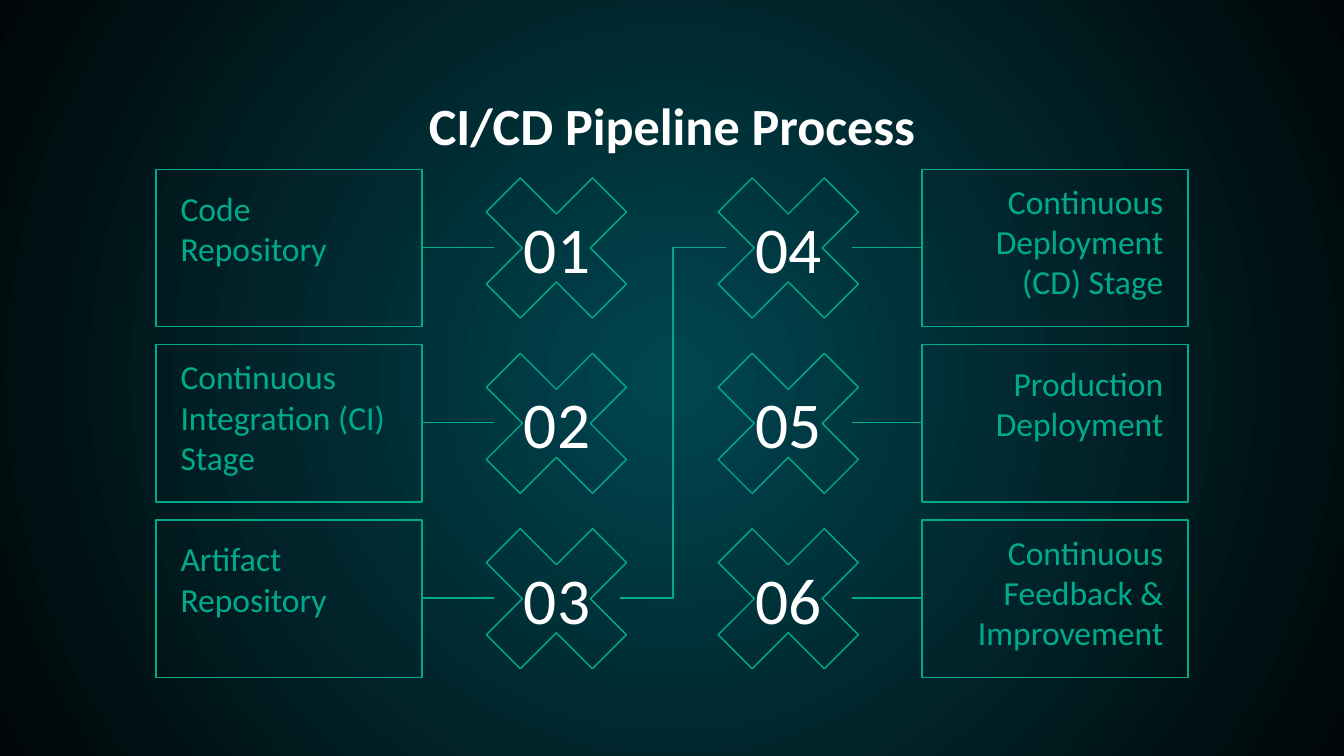
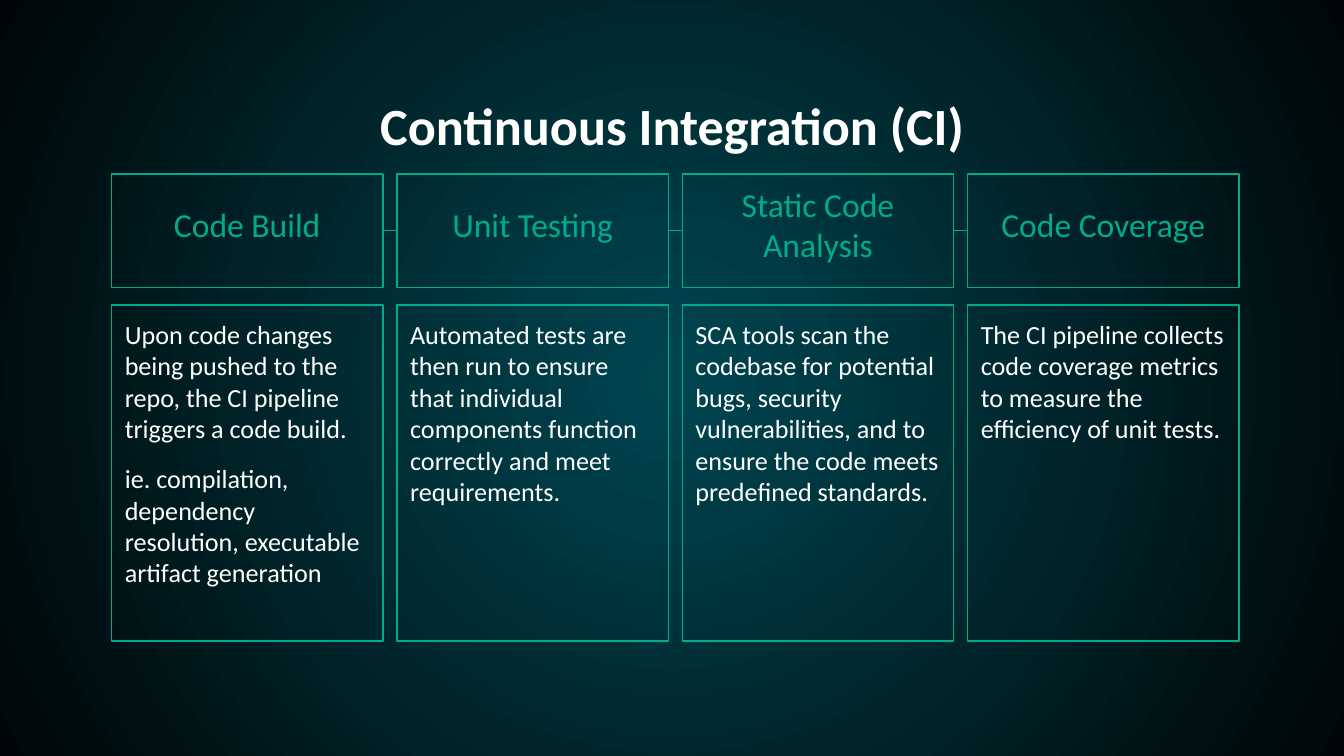
"""Build two slides on a CI/CD pipeline."""
from dataclasses import dataclass

from lxml import etree
from pptx import Presentation
from pptx.dml.color import RGBColor
from pptx.enum.shapes import MSO_CONNECTOR, MSO_SHAPE
from pptx.enum.text import MSO_ANCHOR, MSO_AUTO_SIZE, PP_ALIGN
from pptx.oxml.ns import qn
from pptx.presentation import Presentation as Deck
from pptx.shapes.autoshape import Shape
from pptx.shapes.shapetree import GroupShapes, SlideShapes
from pptx.slide import Slide
from pptx.text.text import TextFrame
from pptx.util import Emu, Inches, Pt

LEFT, CENTER, RIGHT = PP_ALIGN.LEFT, PP_ALIGN.CENTER, PP_ALIGN.RIGHT
TOP, MIDDLE, BOTTOM = MSO_ANCHOR.TOP, MSO_ANCHOR.MIDDLE, MSO_ANCHOR.BOTTOM
STRAIGHT, ELBOW = MSO_CONNECTOR.STRAIGHT, MSO_CONNECTOR.ELBOW
CARD, CROSS = MSO_SHAPE.ROUNDED_RECTANGLE, MSO_SHAPE.MATH_MULTIPLY
NO_AUTOFIT = MSO_AUTO_SIZE.NONE

GLOW = RGBColor(0x00, 0x46, 0x51)
DARK = RGBColor(0x00, 0x06, 0x07)
GREEN = RGBColor(0x00, 0xAB, 0x8D)
WHITE = RGBColor(0xFF, 0xFF, 0xFF)
FONT = "Calibri"
OUTLINE = Pt(0.75)

SLIDE_WIDTH = Inches(10)
SLIDE_HEIGHT = Emu(SLIDE_WIDTH * 9 // 16)
GRID_COLUMNS = 100
CELL = SLIDE_WIDTH / GRID_COLUMNS
INSET = 1

STEP_PITCH = 13.05
CARD_TOP, CARD_WIDTH, CARD_HEIGHT = 12.6, 19.8, 11.7
CROSS_TOP, CROSS_SIZE = 10.85, 15.2
NUMBER_TOP, NUMBER_WIDTH, NUMBER_HEIGHT = 15.95, 9.4, 4.9
LABEL_TOP, LABEL_WIDTH = 13.35, 18.1
LABEL_HEIGHTS = {2: 7.6, 3: 10.1}
LINK_ROW = 18.4

STAGE_LEFT, STAGE_PITCH, STAGE_WIDTH = 8.3, 21.23, 20.2
HEADING_TOP, HEADING_HEIGHT = 12.95, 8.45
DETAIL_TOP, DETAIL_HEIGHT = 22.7, 25


@dataclass(frozen=True)
class Box:
    """A place on the grid, in cells."""

    left: float
    top: float
    width: float
    height: float

    def emu(self) -> tuple[Emu, Emu, Emu, Emu]:
        """Return the box in slide units."""
        return cells(self.left), cells(self.top), cells(self.width), cells(self.height)


@dataclass(frozen=True)
class Step:
    """A pipeline step and the lines its label takes."""

    label: str
    lines: int


@dataclass(frozen=True)
class Side:
    """One column of numbered steps."""

    card_left: float
    label_left: float
    cross_left: float
    number_left: float
    link_from: float
    link_to: float
    align: PP_ALIGN
    first_number: int
    steps: tuple[Step, ...]


@dataclass(frozen=True)
class Stage:
    """A stage of continuous integration with its details."""

    heading: str
    details: tuple[str, ...]


SIDES = (
    Side(11.6, 12.45, 33.8, 36.75, 31.4, 36.75, LEFT, 1, (
        Step("Code Repository", 2),
        Step("Continuous Integration (CI) Stage", 3),
        Step("Artifact Repository", 2),
    )),
    Side(68.6, 69.45, 51.05, 54, 63.4, 68.6, RIGHT, 4, (
        Step("Continuous Deployment (CD) Stage", 3),
        Step("Production Deployment", 2),
        Step("Continuous Feedback & Improvement", 3),
    )),
)

STAGES = (
    Stage("Code Build", (
        "Upon code changes being pushed to the repo, the CI pipeline triggers a code build.",
        "ie. compilation, dependency resolution, executable artifact generation",
    )),
    Stage("Unit Testing", (
        "Automated tests are then run to ensure that individual components "
        "function correctly and meet requirements.",
    )),
    Stage("Static Code Analysis", (
        "SCA tools scan the codebase for potential bugs, security vulnerabilities, "
        "and to ensure the code meets predefined standards.",
    )),
    Stage("Code Coverage", (
        "The CI pipeline collects code coverage metrics to measure the efficiency of unit tests.",
    )),
)


def cells(count: float) -> Emu:
    """Convert grid cells to slide units."""
    return Emu(round(count * CELL))


def write_text(frame: TextFrame, *paragraphs: str, size: float, color: RGBColor = WHITE,
               bold: bool = False, align: PP_ALIGN = LEFT, anchor: MSO_ANCHOR = TOP,
               bottom: float = INSET, gap: float = 0) -> None:
    """Fill a text frame with formatted paragraphs."""
    frame.word_wrap = True
    frame.auto_size = NO_AUTOFIT
    frame.vertical_anchor = anchor
    frame.margin_left = frame.margin_right = frame.margin_top = cells(INSET)
    frame.margin_bottom = cells(bottom)
    for index, text in enumerate(paragraphs):
        paragraph = frame.add_paragraph() if index else frame.paragraphs[0]
        paragraph.alignment = align
        paragraph.space_before = Pt(gap)
        run = paragraph.add_run()
        run.text = text
        run.font.name = FONT
        run.font.size = Pt(size)
        run.font.bold = bold
        run.font.color.rgb = color
    frame.paragraphs[-1].space_after = Pt(gap)


def add_outline(shapes: SlideShapes | GroupShapes, kind: MSO_SHAPE, box: Box) -> Shape:
    """Add an unfilled shape with a green outline."""
    outline = shapes.add_shape(kind, *box.emu())
    outline.shadow.inherit = False
    outline.fill.background()
    outline.line.color.rgb = GREEN
    outline.line.width = OUTLINE
    if kind == CARD:
        outline.adjustments[0] = 0
    return outline


def add_link(shapes: SlideShapes, kind: MSO_CONNECTOR, start: tuple[float, float],
             end: tuple[float, float]) -> None:
    """Connect two grid points with a green line."""
    link = shapes.add_connector(kind, *map(cells, start + end))
    link.line.color.rgb = GREEN
    link.line.width = OUTLINE
    etree.SubElement(link.element.spPr, qn("a:effectLst"))


def paint_background(slide: Slide) -> None:
    """Fill the background with a circular glow."""
    fill = slide.background.fill
    fill.gradient()
    for stop, color in zip(fill.gradient_stops, (GLOW, DARK)):
        stop.color.rgb = color
    gradient = slide.element.find(".//" + qn("a:gradFill"))
    circle = etree.Element(qn("a:path"), path="circle")
    etree.SubElement(circle, qn("a:fillToRect"), dict.fromkeys("ltrb", "50000"))
    gradient.replace(gradient.find(qn("a:lin")), circle)


def add_titled_slide(deck: Deck, title: str) -> Slide:
    """Add a slide with the shared background and title style."""
    slide = deck.slides.add_slide(deck.slide_layouts[5])
    paint_background(slide)
    heading = slide.shapes.title
    heading.left, heading.top, heading.width, heading.height = Box(7.8, 5.9, 84.4, 6.2).emu()
    write_text(heading.text_frame, title, size=28, bold=True, align=CENTER)
    return slide


def add_step_text(shapes: SlideShapes, side: Side, row: int, step: Step) -> None:
    """Add the grouped label and number of a step."""
    drop = row * STEP_PITCH
    group = shapes.add_group_shape().shapes
    label_box = Box(side.label_left, LABEL_TOP + drop, LABEL_WIDTH, LABEL_HEIGHTS[step.lines])
    label = group.add_textbox(*label_box.emu())
    write_text(label.text_frame, step.label, size=18, color=GREEN,
               align=side.align, anchor=BOTTOM)
    number_box = Box(side.number_left, NUMBER_TOP + drop, NUMBER_WIDTH, NUMBER_HEIGHT)
    number = group.add_textbox(*number_box.emu())
    write_text(number.text_frame, f"{side.first_number + row:02d}", size=35,
               align=CENTER, anchor=MIDDLE)


def add_pipeline_slide(deck: Deck) -> None:
    """Draw six numbered steps in two linked columns."""
    shapes = add_titled_slide(deck, "CI/CD Pipeline Process").shapes
    for side in SIDES:
        for row, step in enumerate(side.steps):
            drop = row * STEP_PITCH
            link_row = LINK_ROW + drop
            add_link(shapes, STRAIGHT, (side.link_from, link_row), (side.link_to, link_row))
            add_outline(shapes, CARD,
                        Box(side.card_left, CARD_TOP + drop, CARD_WIDTH, CARD_HEIGHT))
            add_outline(shapes, CROSS,
                        Box(side.cross_left, CROSS_TOP + drop, CROSS_SIZE, CROSS_SIZE))
            add_step_text(shapes, side, row, step)
    first, second = SIDES
    last_row = LINK_ROW + (len(first.steps) - 1) * STEP_PITCH
    add_link(shapes, ELBOW, (first.number_left + NUMBER_WIDTH, last_row),
             (second.number_left, LINK_ROW))


def add_integration_slide(deck: Deck) -> None:
    """Draw the stages of continuous integration side by side."""
    shapes = add_titled_slide(deck, "Continuous Integration (CI)").shapes
    link_row = HEADING_TOP + HEADING_HEIGHT / 2
    for column, stage in enumerate(STAGES):
        left = STAGE_LEFT + column * STAGE_PITCH
        group = shapes.add_group_shape().shapes
        heading = add_outline(group, CARD, Box(left, HEADING_TOP, STAGE_WIDTH, HEADING_HEIGHT))
        write_text(heading.text_frame, stage.heading, size=18, color=GREEN,
                   align=CENTER, anchor=MIDDLE, bottom=2 * INSET)
        detail = add_outline(group, CARD, Box(left, DETAIL_TOP, STAGE_WIDTH, DETAIL_HEIGHT))
        write_text(detail.text_frame, *stage.details, size=14, gap=10)
        if column:
            previous_right = left - STAGE_PITCH + STAGE_WIDTH
            add_link(shapes, STRAIGHT, (previous_right, link_row), (left, link_row))


def main() -> None:
    """Build and save the deck."""
    deck = Presentation()
    deck.slide_width, deck.slide_height = SLIDE_WIDTH, SLIDE_HEIGHT
    add_pipeline_slide(deck)
    add_integration_slide(deck)
    deck.save("out.pptx")


if __name__ == "__main__":
    main()
